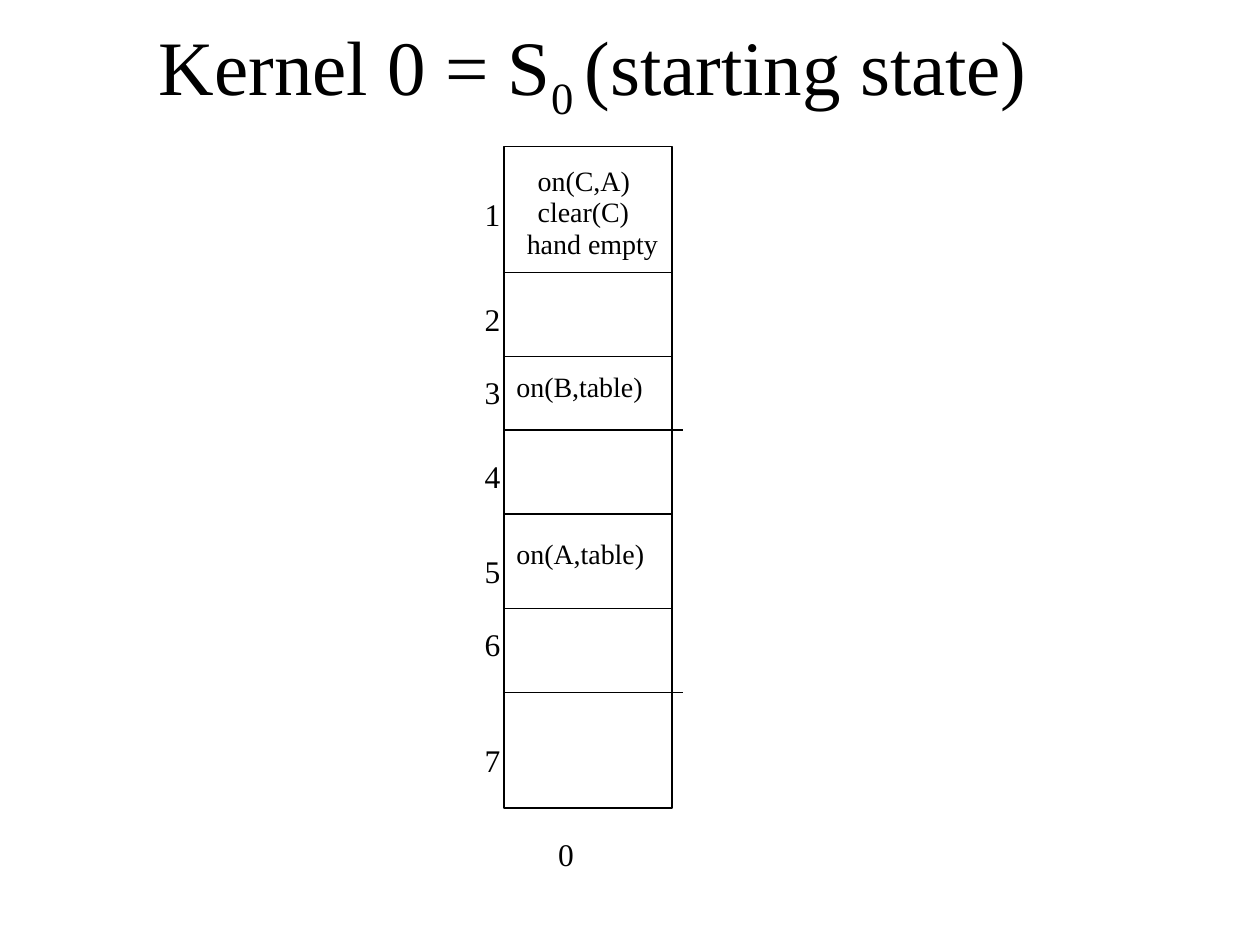
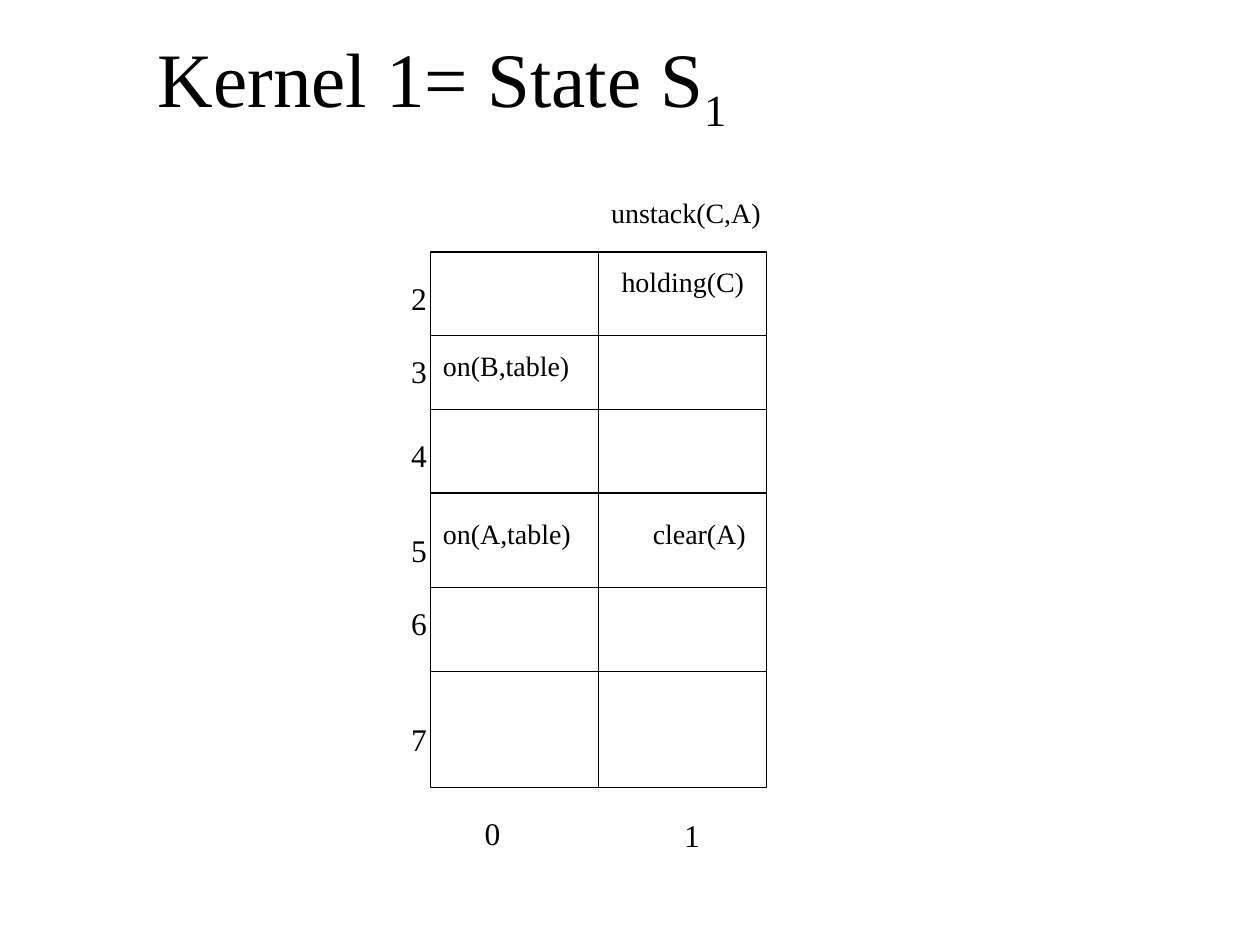
from pptx import Presentation
from pptx.dml.color import RGBColor
from pptx.enum.shapes import MSO_CONNECTOR, MSO_SHAPE
from pptx.enum.text import MSO_ANCHOR
from pptx.oxml.ns import qn
from pptx.util import Cm, Pt
from lxml import etree

RECT = MSO_SHAPE.RECTANGLE
STRAIGHT = MSO_CONNECTOR.STRAIGHT
MIDDLE = MSO_ANCHOR.MIDDLE

# All lengths in cm
COLORS = {"ink": "000000"}
FONT = "Times New Roman"
TITLE_PT, LABEL_PT, FACT_PT = 44, 18, 16
LINE_PT = 0.75
COL_W = 3.39
FACT_SIZE = (4.02, 0.94)
LABEL_SIZE = (1.48, 1.02)
ROW_LABEL_DX = -0.64
OVERHANG = 0.21

# row number: (height, drop of its label below the row's top)
ROWS = {
    1: (2.54, 0.84),
    2: (1.69, 0.42),
    3: (1.48, 0.21),
    4: (1.69, 0.42),
    5: (1.91, 0.64),
    6: (1.69, 0.21),
    7: (2.33, 0.85),
}

# title: (text, is subscript); facts: (text, column, row, dx, dy)
# column_labels: (dx, dy below the grid)
# lines: row -> how far the line above it reaches past the grid's right edge
KERNELS = [
    {
        "title": [("Kernel 0 = S", False), ("0 ", True), ("(starting state)", False)],
        "title_box": (3.2, 0.58, 21.64, 2.16),
        "origin": (10.16, 2.96),
        "first_row": 1,
        "column_labels": [(0.84, 0.42)],
        "facts": [
            ("on(C,A)", 0, 1, 0.43, 0.21),
            ("clear(C)", 0, 1, 0.43, 0.84),
            ("hand empty", 0, 1, 0.21, 1.48),
            ("on(B,table)", 0, 3, 0, 0.13),
            ("on(A,table)", 0, 5, 0, 0.34),
        ],
        "lines": {2: 0, 3: 0, 4: OVERHANG, 5: 0, 6: 0, 7: OVERHANG},
    },
    {
        "title": [("Kernel 1= State S", False), ("1", True)],
        "title_box": (3.18, 0.64, 21.64, 2.54),
        "origin": (8.68, 5.08),
        "first_row": 2,
        "column_labels": [(0.84, 0.42), (1.47, 0.46)],
        "facts": [
            ("unstack(C,A)", 1, 2, 0, -1.27),
            ("holding(C)", 1, 2, 0.21, 0.13),
            ("on(B,table)", 0, 3, 0, 0.13),
            ("on(A,table)", 0, 5, 0, 0.34),
            ("clear(A)", 1, 5, 0.84, 0.34),
        ],
        "lines": {2: -COL_W, 3: 0, 4: 0, 5: 0, 6: 0, 7: 0},
    },
]


def ink():
    return RGBColor.from_string(COLORS["ink"])


def style_run(r, size):
    r.font.name = FONT
    r.font.size = Pt(size)
    r.font.color.rgb = ink()


def style_line(line):
    line.color.rgb = ink()
    line.width = Pt(LINE_PT)


def add_title(slide, pieces, box):
    tf = slide.shapes.add_textbox(*map(Cm, box)).text_frame
    tf.word_wrap = True
    tf.vertical_anchor = MIDDLE
    tf.margin_left = tf.margin_right = tf.margin_top = tf.margin_bottom = 0
    p = tf.paragraphs[0]
    p.line_spacing = 0.41
    for text, subscript in pieces:
        r = p.add_run()
        r.text = text
        style_run(r, TITLE_PT)
        if subscript:
            r.font._element.set("baseline", "-25000")


def add_text(slide, text, x, y, box_size, size):
    tf = slide.shapes.add_textbox(*map(Cm, (x, y, *box_size))).text_frame
    tf.word_wrap = True
    tf.text = text
    style_run(tf.paragraphs[0].runs[0], size)


def add_column(slide, x, y, height):
    sp = slide.shapes.add_shape(RECT, Cm(x), Cm(y), Cm(COL_W), Cm(height))
    sp.shadow.inherit = False
    sp.fill.background()
    style_line(sp.line)


def add_row_line(slide, x1, x2, y):
    line = slide.shapes.add_connector(STRAIGHT, Cm(x2), Cm(y), Cm(x1), Cm(y))
    style_line(line.line)
    etree.SubElement(line._element.spPr, qn("a:effectLst"))


def add_kernel(prs, kernel):
    slide = prs.slides.add_slide(prs.slide_layouts[6])
    add_title(slide, kernel["title"], kernel["title_box"])

    left, top = kernel["origin"]
    row_tops, bottom = {}, top
    for row, (height, _) in ROWS.items():
        if row >= kernel["first_row"]:
            row_tops[row] = bottom
            bottom += height
    columns = kernel["column_labels"]
    right = left + COL_W * len(columns)

    for col, (dx, dy) in enumerate(columns):
        x = left + col * COL_W
        add_column(slide, x, top, bottom - top)
        add_text(slide, str(col), x + dx, bottom + dy, LABEL_SIZE, LABEL_PT)
    for row, reach in kernel["lines"].items():
        add_row_line(slide, left, right + reach, row_tops[row])
    for row, y in row_tops.items():
        add_text(slide, str(row), left + ROW_LABEL_DX, y + ROWS[row][1],
                 LABEL_SIZE, LABEL_PT)
    for text, col, row, dx, dy in kernel["facts"]:
        add_text(slide, text, left + col * COL_W + dx, row_tops[row] + dy,
                 FACT_SIZE, FACT_PT)


def main():
    prs = Presentation()
    prs.slide_width, prs.slide_height = Cm(25.4), Cm(19.05)
    for kernel in KERNELS:
        add_kernel(prs, kernel)
    prs.save("out.pptx")


if __name__ == "__main__":
    main()
